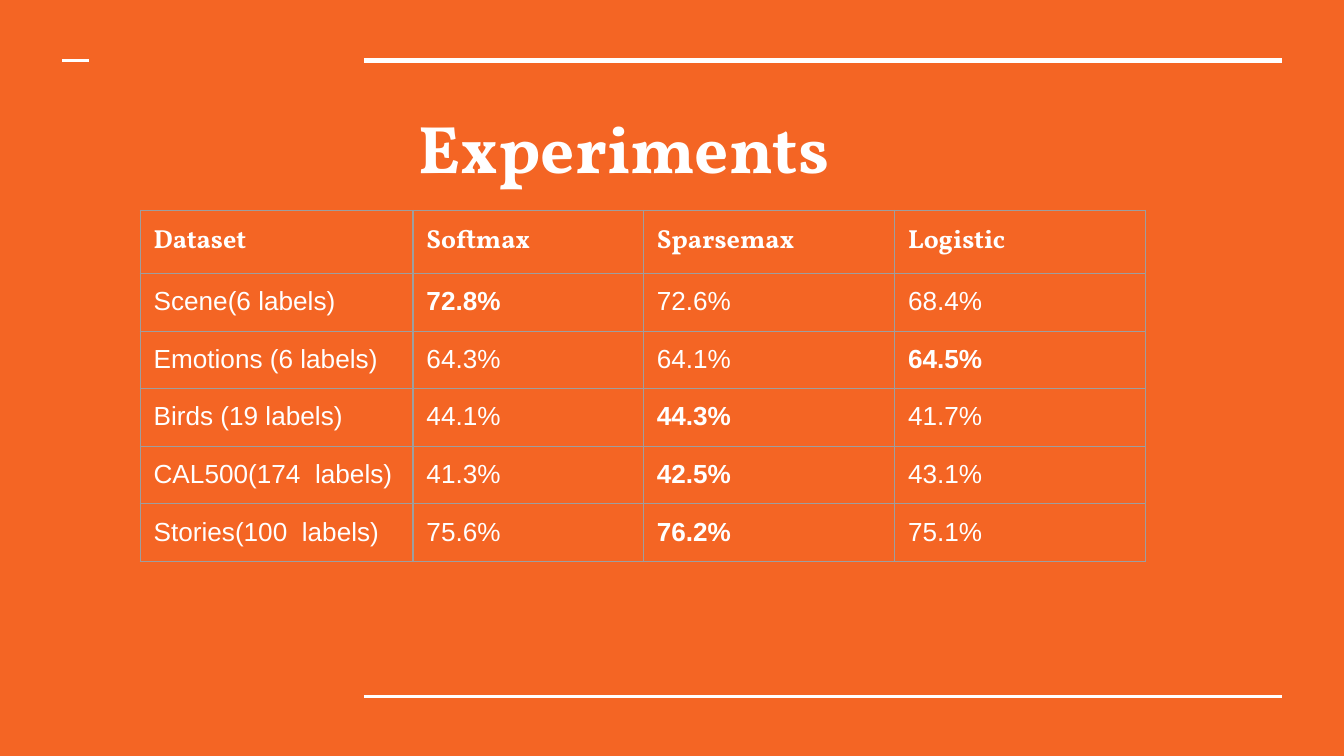
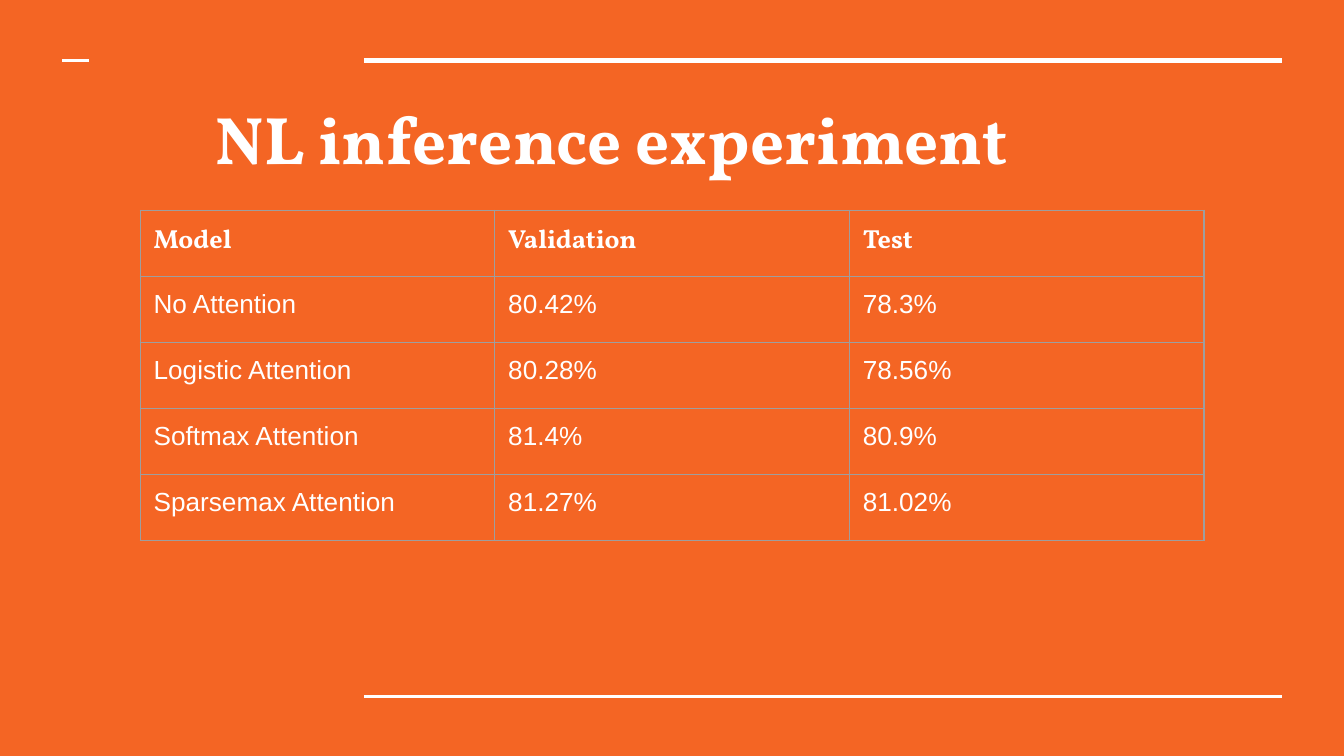
from lxml.etree import SubElement
from pptx import Presentation
from pptx.dml.color import RGBColor
from pptx.enum.shapes import MSO_CONNECTOR as Connector
from pptx.enum.text import MSO_ANCHOR as Anchor, MSO_AUTO_SIZE as AutoSize, PP_ALIGN as Align
from pptx.oxml.ns import qn
from pptx.util import Pt

COLORS = {"background": "F46524", "text": "FFFFFF", "border": "9E9E9E"}
INSET = Pt(7.2)
MARGINS = {f"margin_{side}": INSET for side in ("left", "right", "top", "bottom")}

# Text formats
TITLE = {"name": "Vollkorn", "size": Pt(36), "bold": True}
HEADER = {"name": "Vollkorn", "size": Pt(14), "bold": True}
VALUE = {"name": "Arial", "size": Pt(14), "bold": False}
BEST_VALUE = {**VALUE, "bold": True}

# Rules on every page: left, right, top, line width
RULES = [
    (195.1, 686.9, 32.5, 3),
    (195.1, 686.9, 373, 1.5),
    (33.5, 47.9, 32.5, 1.5),
]

# Table contents, and the (row, column) places of bold values
DATASETS = [
    ("Dataset", "Softmax", "Sparsemax", "Logistic"),
    ("Scene(6 labels)", "72.8%", "72.6%", "68.4%"),
    ("Emotions (6 labels)", "64.3%", "64.1%", "64.5%"),
    ("Birds (19 labels)", "44.1%", "44.3%", "41.7%"),
    ("CAL500(174  labels)", "41.3%", "42.5%", "43.1%"),
    ("Stories(100  labels)", "75.6%", "76.2%", "75.1%"),
]
BEST_SCORES = {(1, 1), (2, 3), (3, 2), (4, 2), (5, 2)}
MODELS = [
    ("Model", "Validation", "Test"),
    ("No Attention", "80.42%", "78.3%"),
    ("Logistic Attention", "80.28%", "78.56%"),
    ("Softmax Attention", "81.4%", "80.9%"),
    ("Sparsemax Attention", "81.27%", "81.02%"),
]


def color(name):
    return RGBColor.from_string(COLORS[name])


def set_attributes(target, values):
    for name, value in values.items():
        setattr(target, name, value)


def write(para, text, font_format):
    span = para.add_run()
    span.text = text
    set_attributes(span.font, font_format)
    span.font.color.rgb = color("text")


def add_rule(page, left, right, top, width):
    rule = page.shapes.add_connector(Connector.STRAIGHT, Pt(left), Pt(top), Pt(right), Pt(top))
    rule.line.color.rgb = color("text")
    rule.line.width = Pt(width)
    SubElement(rule._element.spPr, qn("a:effectLst"))
    return rule


def share_rules(deck, layout):
    """Draw the rules on a page, then move them to the layout."""
    page = deck.slides[0]
    for rule in RULES:
        layout.shapes._spTree.append(add_rule(page, *rule)._element)


def add_page(deck, layout, title, left, top, width, indent=0):
    page = deck.slides.add_slide(layout)
    for box in list(page.placeholders):
        if box != page.shapes.title:
            box._element.getparent().remove(box._element)
    box = page.shapes.title
    set_attributes(box, {"left": Pt(left), "top": Pt(top), "width": Pt(width), "height": Pt(58.3)})
    frame = box.text_frame
    set_attributes(frame, {**MARGINS, "word_wrap": True, "auto_size": AutoSize.NONE,
                           "vertical_anchor": Anchor.TOP})
    para = frame.paragraphs[0]
    para.alignment = Align.LEFT
    para._p.get_or_add_pPr().set("marL", str(Pt(indent)))
    write(para, title, TITLE)
    return page


def add_borders(cell):
    properties = cell._tc.get_or_add_tcPr()
    for side in ("lnL", "lnR", "lnT", "lnB"):
        border = SubElement(properties, qn(f"a:{side}"), w=str(Pt(0.75)))
        fill = SubElement(border, qn("a:solidFill"))
        SubElement(fill, qn("a:srgbClr"), val=COLORS["border"])


def add_results(page, rows, widths, row_height, best=()):
    box = page.shapes.add_table(len(rows), len(widths), Pt(75.1), Pt(112.6),
                                Pt(sum(widths)), Pt(row_height * len(rows)))
    table = box.table
    set_attributes(table, {"first_row": False, "horz_banding": False})
    for column, width in zip(table.columns, widths):
        column.width = Pt(width)
    for i, values in enumerate(rows):
        table.rows[i].height = Pt(row_height)
        for j, value in enumerate(values):
            cell = table.cell(i, j)
            set_attributes(cell, {**MARGINS, "vertical_anchor": Anchor.TOP})
            add_borders(cell)
            cell.fill.background()
            value_format = BEST_VALUE if (i, j) in best else VALUE
            write(cell.text_frame.paragraphs[0], value, HEADER if i == 0 else value_format)


def main():
    deck = Presentation()
    set_attributes(deck, {"slide_width": Pt(720), "slide_height": Pt(405)})
    background = deck.slide_master.background.fill
    background.solid()
    background.fore_color.rgb = color("background")
    layout = deck.slide_layouts[0]

    # Multi-label results
    page = add_page(deck, layout, "Experiments", 217, 49.7, 241.2)
    add_results(page, DATASETS, [146.2, 123.4, 134.6, 134.6], 30.85, BEST_SCORES)

    # Inference results
    page = add_page(deck, layout, "NL inference experiment", 79.2, 44.8, 500.4, indent=29)
    add_results(page, MODELS, [190] * 3, 35.4)

    share_rules(deck, layout)
    deck.save("out.pptx")


if __name__ == "__main__":
    main()
